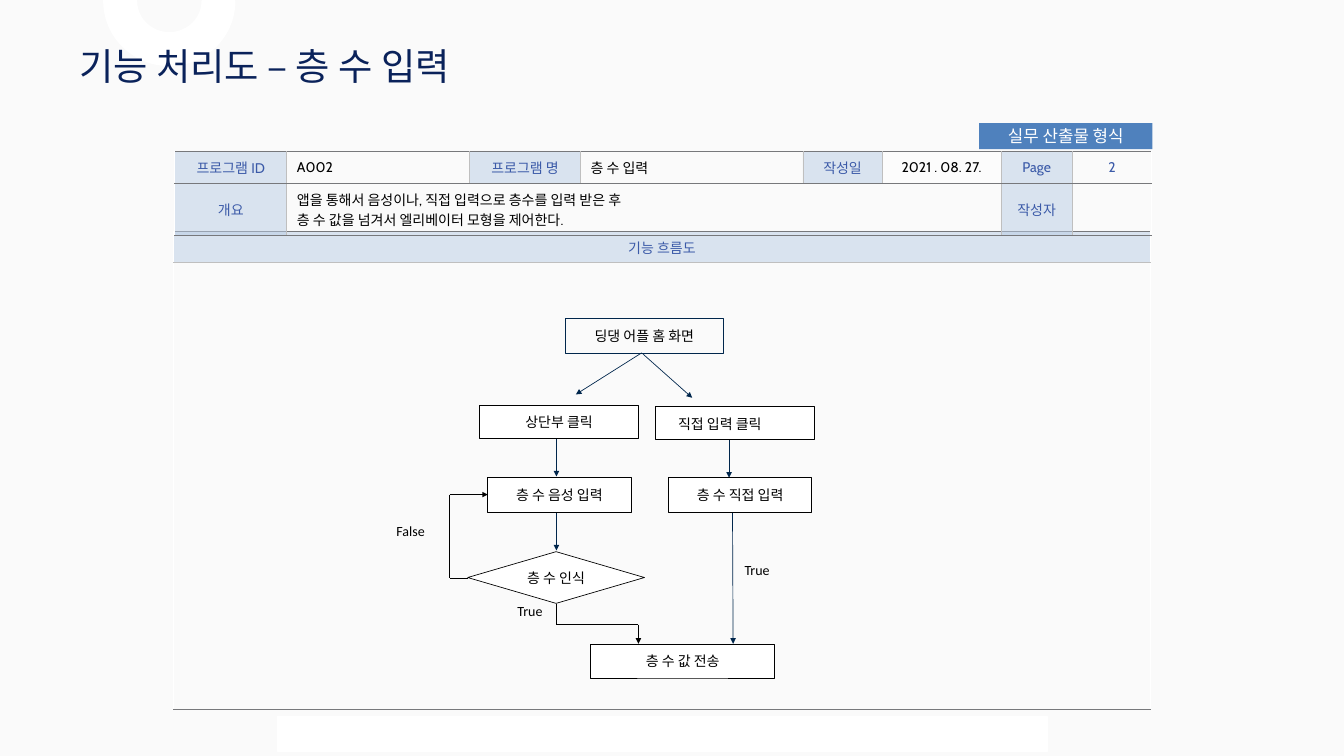
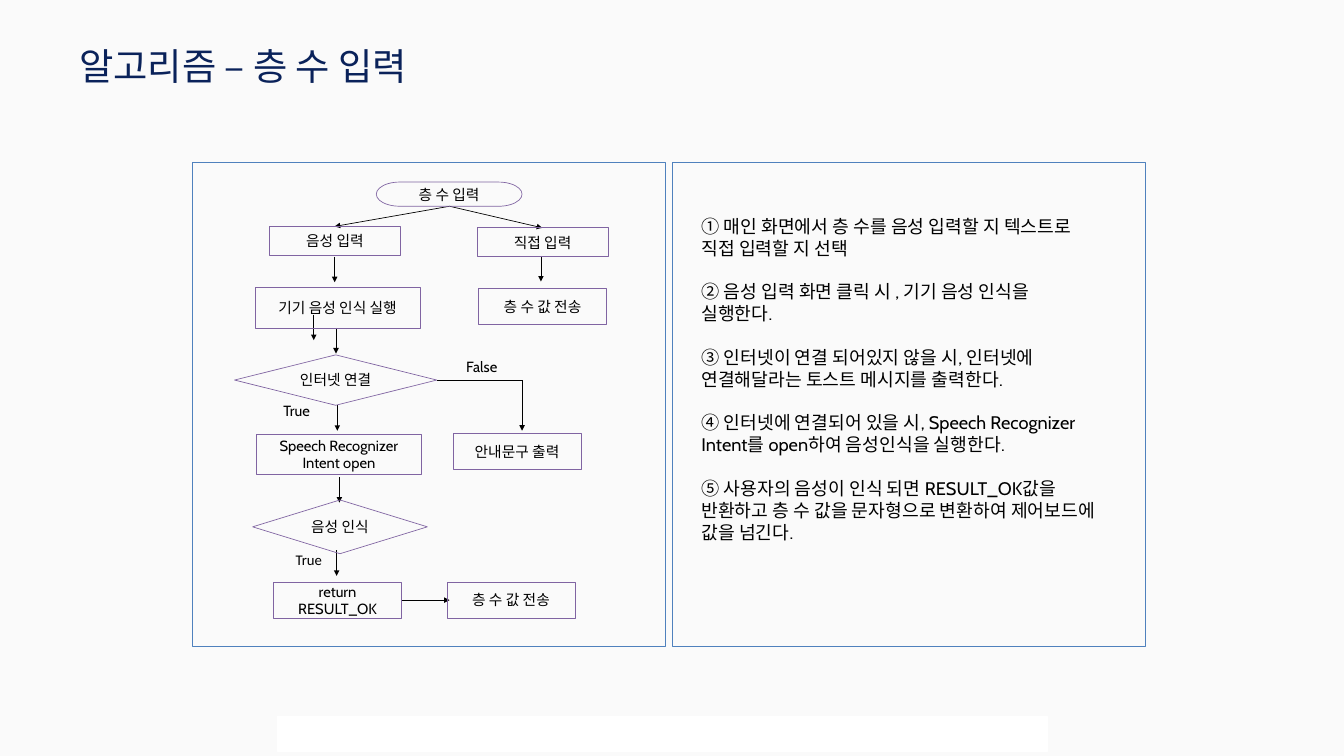
from dataclasses import dataclass
from itertools import pairwise
from typing import NamedTuple, Optional

from lxml.etree import SubElement
from pptx import Presentation
from pptx.dml.color import RGBColor
from pptx.enum.shapes import MSO_CONNECTOR as Link, MSO_SHAPE as Kind
from pptx.enum.text import MSO_ANCHOR as Anchor, MSO_AUTO_SIZE as Auto, PP_ALIGN as Align
from pptx.oxml import parse_xml
from pptx.oxml.ns import nsdecls, qn
from pptx.util import Pt


@dataclass(frozen=True)
class Theme:
    back: str = "FAFAFA"
    white: str = "FFFFFF"
    black: str = "000000"
    title: str = "0A225A"
    navy: str = "00264C"
    blue: str = "4F81BD"
    pale: str = "B9CDE5"
    label: str = "3B5AA8"
    violet: str = "8064A2"
    rule: str = "77787B"
    grid: str = "BFBFBF"
    face: str = "Cabin"
    plain: str = "Calibri"
    head: float = 40
    badge: float = 18
    small: float = 15
    flow: float = 15.8
    body: float = 19.5
    thin: float = 0.75


T = Theme()


class Area(NamedTuple):
    x: float
    y: float
    w: float
    h: float


class Node(NamedTuple):
    text: str
    area: Area
    kind: Kind = Kind.RECTANGLE


class Note(NamedTuple):
    text: str
    area: Area
    face: str = T.plain


class Cell(NamedTuple):
    text: str = ""
    fill: Optional[str] = None
    color: str = T.black
    align: Align = Align.CENTER


class Edge(NamedTuple):
    left: str
    right: str
    top: str
    bottom: str


def rgb(code: str) -> RGBColor:
    return RGBColor.from_string(code)


def write(frame, text: str, *, size: float = T.small, face: str = T.face,
          color: str = T.black, align: Align = Align.LEFT, gap: float = 0) -> None:
    """Fill a text frame, one paragraph a line, with gap points between them."""
    for i, line in enumerate(text.split("\n")):
        para = frame.add_paragraph() if i else frame.paragraphs[0]
        para.text = line
        para.alignment = align
        if i and gap:
            para.space_before = Pt(gap)
        for run in para.runs:
            run.font.size = Pt(size)
            run.font.name = face
            run.font.color.rgb = rgb(color)


def block(slide, area: Area, *, kind: Kind = Kind.RECTANGLE, fill: Optional[str] = None,
          line: Optional[str] = None, width: float = T.thin):
    shape = slide.shapes.add_shape(kind, *map(Pt, area))
    shape.shadow.inherit = False
    if fill:
        shape.fill.solid()
        shape.fill.fore_color.rgb = rgb(fill)
    else:
        shape.fill.background()
    if line:
        shape.line.color.rgb = rgb(line)
        shape.line.width = Pt(width)
    else:
        shape.line.fill.background()
    frame = shape.text_frame
    frame.word_wrap = True
    frame.vertical_anchor = Anchor.MIDDLE
    return shape


def label(slide, text: str, area: Area, *, wrap: bool = True, inset: float = 7.2, **style) -> None:
    frame = slide.shapes.add_textbox(*map(Pt, area)).text_frame
    frame.word_wrap = wrap
    frame.auto_size = Auto.SHAPE_TO_FIT_TEXT
    frame.margin_left = Pt(inset)
    write(frame, text, **style)


def route(slide, *stops: tuple[float, float], color: str = T.black) -> None:
    """Join the stops with straight lines and end in an arrowhead."""
    for (x1, y1), (x2, y2) in pairwise(stops):
        link = slide.shapes.add_connector(Link.STRAIGHT, Pt(x1), Pt(y1), Pt(x2), Pt(y2))
        link.line.color.rgb = rgb(color)
        link.line.width = Pt(T.thin)
        SubElement(link.element.spPr, qn("a:effectLst"))
    SubElement(link.line._get_or_add_ln(), qn("a:tailEnd"), type="triangle")


def paint(cell, fill: Optional[str], edge: Edge) -> None:
    """Give a table cell a half clear fill and its four borders."""
    if fill:
        cell.fill.solid()
        cell.fill.fore_color.rgb = rgb(fill)
    else:
        cell.fill.background()
    props = cell._tc.get_or_add_tcPr()
    for tone in props.iter(qn("a:srgbClr")):
        SubElement(tone, qn("a:alpha"), val="50000")
    for i, (side, color) in enumerate(zip("LRTB", edge)):
        props.insert(i, parse_xml(
            f'<a:ln{side} {nsdecls("a")} w="12700"><a:solidFill>'
            f'<a:srgbClr val="{color}"/></a:solidFill></a:ln{side}>'))


def grid(slide, x: float, y: float, cols: list[float], rows: list[float],
         cells: list[list[Cell]], edges: list[Edge]):
    """Draw a table; edges has one entry a row, and the outer sides are white."""
    size = sum(cols), sum(rows)
    table = slide.shapes.add_table(len(rows), len(cols), *map(Pt, (x, y, *size))).table
    table.first_row = table.horz_banding = False
    for col, width in zip(table.columns, cols):
        col.width = Pt(width)
    for r, (line, edge) in enumerate(zip(cells, edges)):
        table.rows[r].height = Pt(rows[r])
        for c, item in enumerate(line):
            cell = table.cell(r, c)
            cell.margin_left = cell.margin_right = Pt(10.8)
            cell.margin_top = cell.margin_bottom = Pt(5)
            cell.vertical_anchor = Anchor.MIDDLE
            write(cell.text_frame, item.text, color=item.color, align=item.align)
            left = edge.left if c else T.white
            right = edge.right if c < len(cols) - 1 else T.white
            paint(cell, item.fill, edge._replace(left=left, right=right))
    return table


def chart(slide, nodes: list[Node], notes: list[Note], *, size: float,
          line: str, fill: Optional[str] = None) -> None:
    """Draw the boxes and loose labels of a flow chart."""
    for node in nodes:
        shape = block(slide, node.area, kind=node.kind, fill=fill, line=line)
        write(shape.text_frame, node.text, size=size, align=Align.CENTER)
    for note in notes:
        label(slide, note.text, note.area, size=size, face=note.face)


def frame(slide, title: str) -> None:
    """Add the foot strip and the title that both slides share."""
    block(slide, Area(297.4, 767.5, 825.1, 37.4), fill=T.white, line=T.white)
    label(slide, title, Area(77.8, 43.2, 455, 55.4), size=T.head, color=T.title)


def key(text: str) -> Cell:
    return Cell(text, T.pale, T.label)


def value(text: str) -> Cell:
    return Cell(text, align=Align.LEFT)


def process(slide) -> None:
    arc = block(slide, Area(111.6, -67.7, 139.7, 137.5), kind=Kind.BLOCK_ARC,
                fill=T.white, line=T.white, width=2)
    arc.adjustments[0], arc.adjustments[1], arc.adjustments[2] = 96.95, 0, 0.25
    arc.element.spPr.find(qn("a:xfrm")).set("flipV", "1")

    grid(slide, 185.8, 247.7, [1046.9], [33.8, 478.8], [[key("기능 흐름도")], [Cell()]],
         [Edge(T.white, T.white, T.rule, T.grid), Edge(T.white, T.white, T.grid, T.rule)])
    badge = block(slide, Area(1049, 131.8, 185.8, 28.1), fill=T.blue)
    write(badge.text_frame, "실무 산출물 형식", size=T.badge, face=T.plain,
          color=T.white, align=Align.CENTER)
    info = grid(
        slide, 187.2, 162.7, [120.2, 195.8, 118.8, 238.3, 85, 127.4, 76.3, 85], [33.8, 56.2],
        [[key("프로그램 ID"), value("A002"), key("프로그램 명"), value("층 수 입력"),
          key("작성일"), Cell("2021 . 08. 27.", T.white), key("Page"), Cell("2", color=T.label)],
         [key("개요"),
          value("앱을 통해서 음성이나, 직접 입력으로 층수를 입력 받은 후\n"
                "층 수 값을 넘겨서 엘리베이터 모형을 제어한다."),
          *[Cell()] * 4, key("작성자"), Cell()]],
        [Edge(T.grid, T.grid, T.rule, T.rule)] * 2)
    info.cell(1, 1).merge(info.cell(1, 5))

    route(slide, (687.6, 378), (617, 422.6), color=T.navy)
    route(slide, (689, 379.4), (741.6, 426.2), color=T.navy)
    for x, y in [(596.2, 468), (596.2, 547.2), (781.2, 469.4)]:
        route(slide, (x, y), (x, y + 42.5), color=T.navy)
    route(slide, (784.8, 542.9), (785.5, 689.8), color=T.navy)
    route(slide, (501.1, 619.2), (481.7, 619.2), (481.7, 529.9), (522.7, 529.9))
    route(slide, (596.2, 647.3), (596.2, 669.2), (684, 669.2), (684, 689.8))

    home = block(slide, Area(605.5, 341.3, 169.9, 36.7), line=T.navy, width=0.5)
    write(home.text_frame, "딩댕 어플 홈 화면", align=Align.CENTER)
    for x, y in [(514.1, 434.2), (702.7, 435.6)]:
        block(slide, Area(x, y, 169.9, 35.3), fill=T.white, line=T.black)
    label(slide, "상단부 클릭", Area(555.8, 439.2, 93.6, 25.2), wrap=False)
    label(slide, "직접 입력 클릭", Area(710.6, 441.4, 540.7, 25.2), inset=16)
    chart(slide, [
        Node("층 수 인식", Area(501.1, 591.1, 189.4, 55.4), Kind.DIAMOND),
        Node("층 수 음성 입력", Area(522.7, 511.9, 153.4, 36.7)),
        Node("층 수 직접 입력", Area(716.4, 511.9, 153.4, 36.7)),
        Node("층 수 값 전송", Area(632.9, 690.5, 197.3, 36)),
    ], [
        Note("True", Area(547.2, 642.2, 51.8, 25.2)),
        Note("False", Area(417.6, 555.8, 73.4, 25.2)),
        Note("True", Area(790.6, 597.6, 51.8, 25.2)),
    ], size=T.small, line=T.black, fill=T.white)
    frame(slide, "기능 처리도 – 층 수 입력")


def steps(slide) -> None:
    for x in (205.9, 720):
        block(slide, Area(x, 174.2, 506.9, 518.4), line=T.blue)
    label(slide, "\n".join([
        "① 매인 화면에서 층 수를 음성 입력할 지 텍스트로 직접 입력할 지 선택",
        "② 음성 입력 화면 클릭 시 , 기기 음성 인식을 실행한다.",
        "③ 인터넷이 연결 되어있지 않을 시, 인터넷에 연결해달라는 토스트 메시지를 출력한다.",
        "④ 인터넷에 연결되어 있을 시, Speech Recognizer Intent를 open하여 음성인식을 실행한다.",
        "⑤ 사용자의 음성이 인식 되면 RESULT_OK값을\v"
        "반환하고 층 수 값을 문자형으로 변환하여 제어보드에 값을 넘긴다.",
    ]), Area(744.5, 226.8, 437, 409), size=T.body, gap=23.4)

    for x, y in [(336.2, 337), (579.6, 274.3), (358.6, 275), (360, 351.4),
                 (361.4, 434.2), (363.6, 511.2), (360.7, 589.7)]:
        route(slide, (x, y), (x, y + 27.4))
    route(slide, (481.7, 221), (358.6, 242.6))
    route(slide, (481.7, 221), (581, 244.1))
    route(slide, (468, 407.5), (559.4, 407.5), (559.4, 461.5))
    route(slide, (429.8, 643), (481.7, 643))

    chart(slide, [
        Node("층 수 입력", Area(403.2, 195.1, 156.2, 25.9), Kind.FLOWCHART_TERMINATOR),
        Node("음성 입력", Area(288.7, 242.6, 140.4, 31)),
        Node("직접 입력", Area(511.2, 244.1, 140.4, 31)),
        Node("기기 음성 인식 실행", Area(273.6, 308.2, 176.4, 43.2)),
        Node("층 수 값 전송", Area(512.6, 308.9, 137.5, 38.9)),
        Node("인터넷 연결", Area(251.3, 380.2, 216.7, 54), Kind.DIAMOND),
        Node("Speech Recognizer Intent open", Area(275, 465.1, 176.4, 43.2)),
        Node("안내문구 출력", Area(485.3, 464.4, 137.5, 38.9)),
        Node("음성 인식", Area(270.7, 535.7, 187.2, 57.6), Kind.DIAMOND),
        Node("return RESULT_OK", Area(293, 623.5, 137.5, 38.9)),
        Node("층 수 값 전송", Area(478.8, 623.5, 137.5, 38.9)),
    ], [
        Note("True", Area(296.6, 427, 67.7, 26.6), T.face),
        Note("False", Area(492.5, 380.2, 67, 26.6), T.face),
        Note("True", Area(309.6, 586.8, 67.7, 26.6)),
    ], size=T.flow, line=T.violet)
    frame(slide, "알고리즘 – 층 수 입력")


def main() -> None:
    deck = Presentation()
    deck.slide_width, deck.slide_height = Pt(1440), Pt(810)
    for draw in (process, steps):
        slide = deck.slides.add_slide(deck.slide_layouts[6])
        slide.background.fill.solid()
        slide.background.fill.fore_color.rgb = rgb(T.back)
        draw(slide)
    deck.save("out.pptx")


if __name__ == "__main__":
    main()
